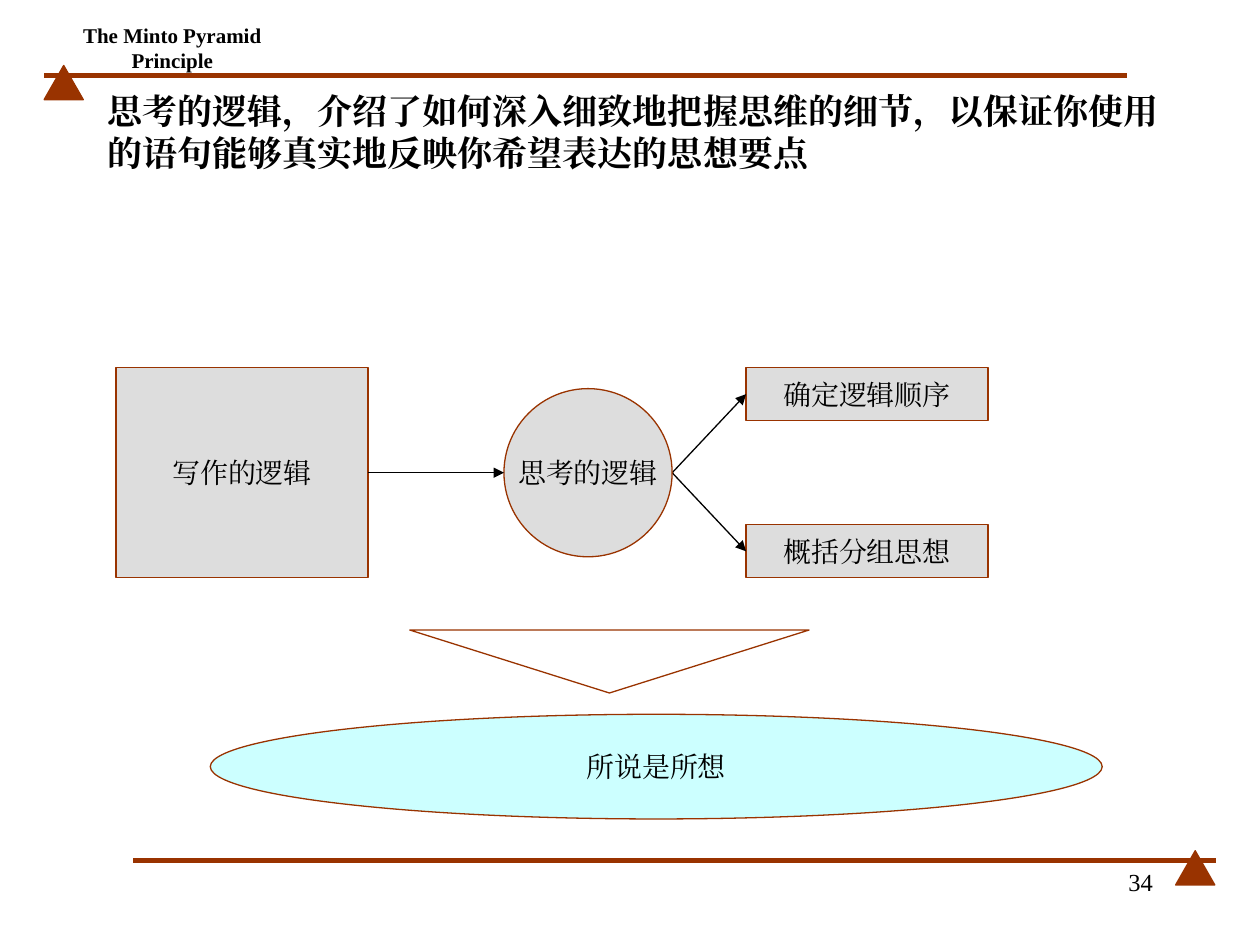
"""Build the slide on the logic of thinking."""
from dataclasses import dataclass

from lxml import etree
from pptx import Presentation
from pptx import util as u
from pptx.dml import color
from pptx.enum import shapes, text
from pptx.oxml import ns


@dataclass(frozen=True)
class Theme:
    """Colours, font and type sizes of the slide."""
    accent: str = "993300"
    ink: str = "000000"
    panel: str = "DDDDDD"
    result: str = "CCFFFF"
    font: str = "Times New Roman"
    header: int = 12
    number: int = 14
    label: int = 16
    title: int = 20
    thin: float = 0.75
    thick: float = 3


THEME = Theme()
KIND = shapes.MSO_SHAPE
ALIGN = text.PP_ALIGN
ANCHOR = text.MSO_ANCHOR


def rgb(value):
    """Turn a hex string into a colour."""
    return color.RGBColor.from_string(value)


def write(box, words, size, align=ALIGN.CENTER, anchor=ANCHOR.MIDDLE, bold=False, wrap=False):
    """Put one formatted paragraph into a box."""
    frame = box.text_frame
    frame.text = words
    frame.word_wrap = wrap
    frame.vertical_anchor = anchor
    para = frame.paragraphs[0]
    para.alignment = align
    for span in para.runs:
        span.font.name = THEME.font
        span.font.size = u.Pt(size)
        span.font.bold = bold
        span.font.color.rgb = rgb(THEME.ink)
        east_asian = etree.SubElement(span.font._element, ns.qn("a:ea"))
        east_asian.set("typeface", THEME.font)


def add_text(page, words, size, left, top, width, height, **style):
    """Add a text box at a place given in centimetres."""
    box = page.shapes.add_textbox(u.Cm(left), u.Cm(top), u.Cm(width), u.Cm(height))
    write(box, words, size, **style)


def add_figure(page, kind, left, top, width, height, fill=None, words=""):
    """Add an outlined preset shape with an optional fill and label."""
    figure = page.shapes.add_shape(kind, u.Cm(left), u.Cm(top), u.Cm(width), u.Cm(height))
    figure.shadow.inherit = False
    figure.line.color.rgb = rgb(THEME.accent)
    figure.line.width = u.Pt(THEME.thin)
    if fill:
        figure.fill.solid()
        figure.fill.fore_color.rgb = rgb(fill)
    else:
        figure.fill.background()
    if words:
        write(figure, words, THEME.label)
    return figure


def add_line(page, start, end, shade, weight, arrow=False):
    """Add a straight line, with an arrowhead at its end on request."""
    line = page.shapes.add_connector(
        shapes.MSO_CONNECTOR.STRAIGHT, *(u.Cm(value) for value in (*start, *end)))
    line.line.color.rgb = rgb(shade)
    line.line.width = u.Pt(weight)
    if arrow:
        head = etree.SubElement(line.line._get_or_add_ln(), ns.qn("a:tailEnd"))
        head.set("type", "triangle")
    etree.SubElement(line._element.spPr, ns.qn("a:effectLst"))


def add_rule(page, left, y, triangle_left):
    """Add a thick rule with a small triangle on it."""
    add_line(page, (left, y), (left + 21.82, y), THEME.accent, THEME.thick)
    add_figure(page, KIND.ISOSCELES_TRIANGLE, triangle_left, y - 0.2, 0.79, 0.69, THEME.accent)


def add_frame(page):
    """Add the rules, running header, page number and title."""
    add_rule(page, 0.89, 1.52, 0.89)
    add_rule(page, 2.69, 17.35, 23.7)
    add_text(page, "The Minto Pyramid Principle", THEME.header, 0.58, 0.61, 5.79, 0.71, bold=True)
    add_text(page, "34", THEME.number, 18.21, 17.35, 5.28, 1.27,
             align=ALIGN.RIGHT, anchor=ANCHOR.TOP, wrap=True)
    add_text(page, "思考的逻辑，介绍了如何深入细致地把握思维的细节，以保证你使用的语句能够真实地反映你希望表达的思想要点",
             THEME.title, 1.91, 1.7, 22.23, 1.91, align=ALIGN.LEFT, bold=True, wrap=True)


def add_flow(page):
    """Add the flow from writing to thinking and its two branches."""
    axis = 9.53
    writing_left, writing_width, writing_height = 2.34, 5.08, 4.24
    circle_left, diameter = 10.16, 3.39
    branch_left, branch_width, branch_height = 15.04, 4.88, 1.07
    fork = (circle_left + diameter, axis)
    spread = (writing_height - branch_height) / 2

    for words, y in (("确定逻辑顺序", axis - spread), ("概括分组思想", axis + spread)):
        add_figure(page, KIND.RECTANGLE, branch_left, y - branch_height / 2,
                   branch_width, branch_height, THEME.panel, words)
        add_line(page, fork, (branch_left, y), THEME.ink, THEME.thin, arrow=True)
    add_figure(page, KIND.RECTANGLE, writing_left, axis - writing_height / 2,
               writing_width, writing_height, THEME.panel, "写作的逻辑")
    add_figure(page, KIND.OVAL, circle_left, axis - diameter / 2,
               diameter, diameter, THEME.panel, "思考的逻辑")
    add_line(page, (writing_left + writing_width, axis), (circle_left, axis),
             THEME.ink, THEME.thin, arrow=True)


def add_conclusion(page):
    """Add the result ellipse and the triangle pointing to it."""
    add_figure(page, KIND.OVAL, 4.24, 14.4, 17.98, 2.11, THEME.result, "所说是所想")
    pointer = add_figure(page, KIND.ISOSCELES_TRIANGLE, 8.26, 12.7, 8.05, 1.27)
    pointer.rotation = 180


def main():
    """Create the deck and save it."""
    deck = Presentation()
    deck.slide_width, deck.slide_height = u.Cm(25.4), u.Cm(19.05)
    page = deck.slides.add_slide(deck.slide_layouts[6])
    add_frame(page)
    add_flow(page)
    add_conclusion(page)
    deck.save("out.pptx")


if __name__ == "__main__":
    main()
